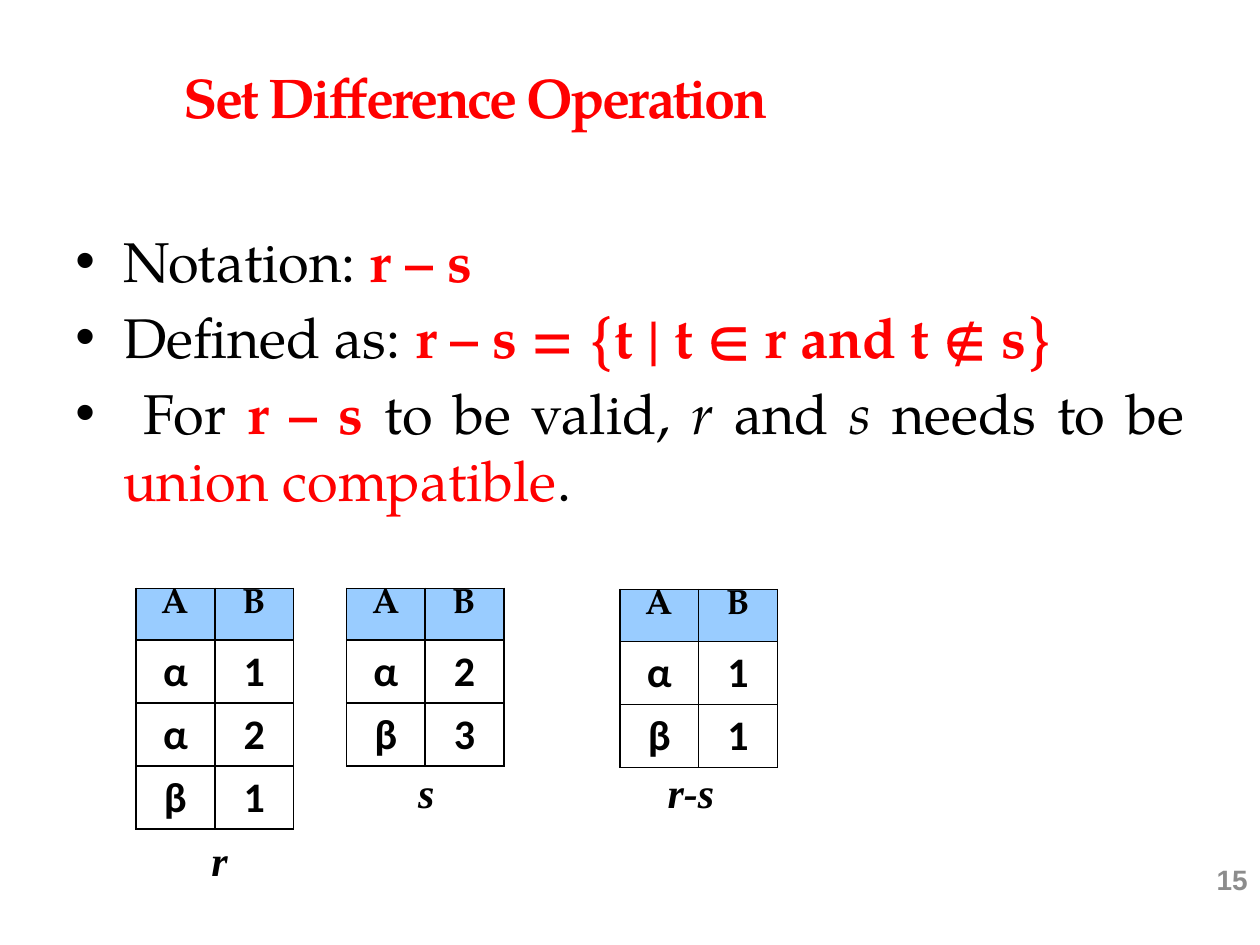
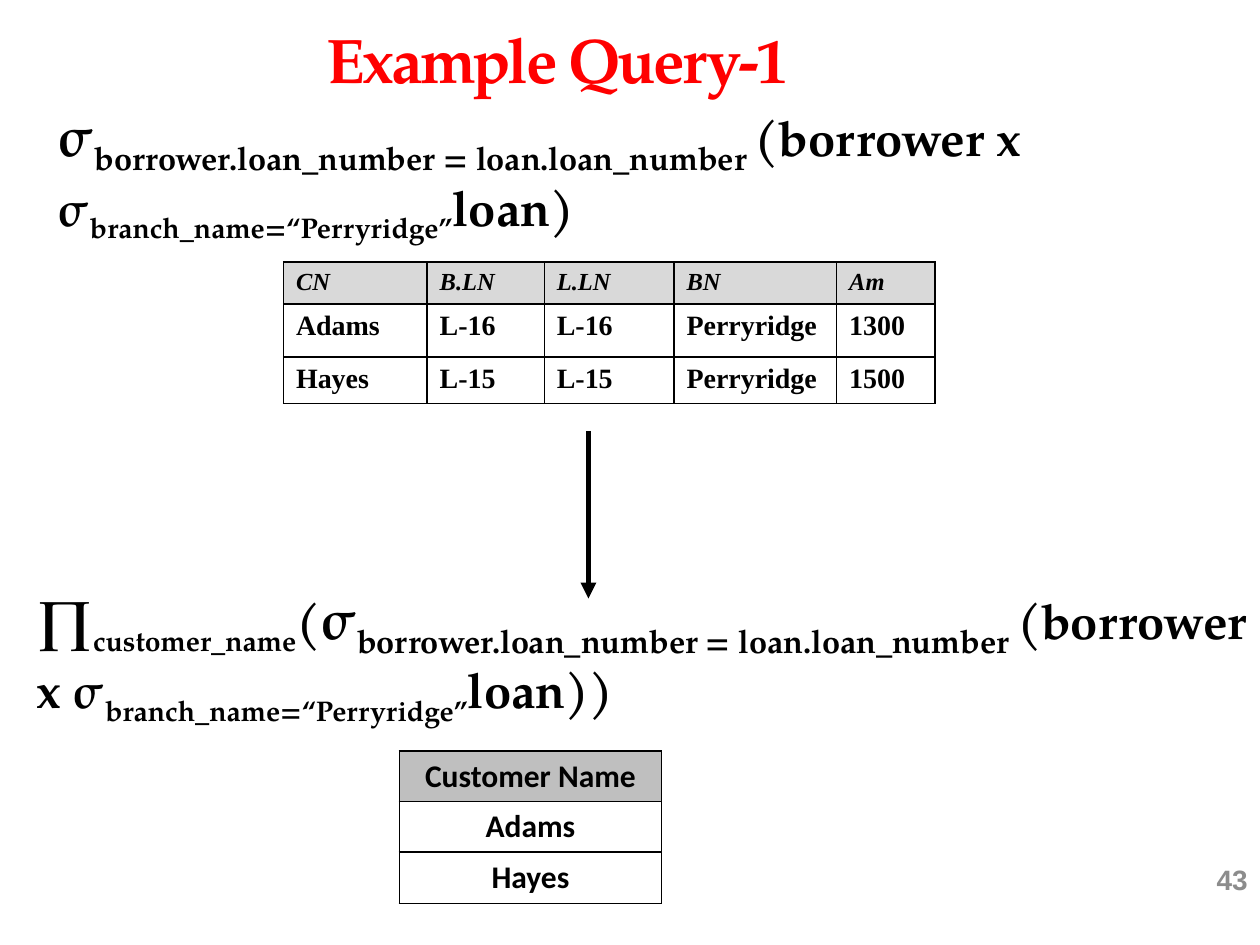
from lxml import etree
from pptx import Presentation, util as u
from pptx.dml.color import RGBColor
from pptx.enum import shapes, text
from pptx.oxml import ns

HUES = dict(red="FF0000", ink="000000", paper="FFFFFF", page="8C8C8C",
            blue="99CCFF", pale="D9D9D9", grey="BFBFBF")
SERIF, TIMES, SANS, PLAIN = "TeX Gyre Pagella", "Times New Roman", "Calibri", "Arial"
ALIGN = dict(l=text.PP_ALIGN.LEFT, c=text.PP_ALIGN.CENTER,
             r=text.PP_ALIGN.RIGHT, j=text.PP_ALIGN.JUSTIFY)

# A run is a plain string, or a (string, format) pair.
RED = dict(hue="red", bold=True)
ITAL = dict(ital=True)
SUB = dict(base=-25)
BIG = dict(size=32)
BIGSUB = BIG | SUB

POINTS = [
    ["Notation: ", ("r – s ", RED)],
    ["Defined as:", (" r – s = {t | t ∈ r and t ∉ s}", RED)],
    [" For ", ("r – s ", RED), "to be valid, ", ("r", ITAL), " and ", ("s", ITAL),
     " needs to be ", ("union compatible", dict(hue="red")), "."],
]

# name, table left and top, caption left and top, rows
SETS = [
    ("r", (1.08, 4.67), (1.58, 6.62), ["AB", "α1", "α2", "β1"]),
    ("s", (2.75, 4.67), (3.22, 6.08), ["AB", "α2", "β3"]),
    ("r-s", (4.92, 4.68), (5.2, 6.08), ["AB", "α1", "β1"]),
]

SELECT = [
    ("σ", BIG), ("borrower.loan_number = loan.loan_number ", BIGSUB),
    "(borrower x σ", ("branch_name=“Perryridge”", SUB),
]
QUERY = SELECT + ["loan)"]
RESULT = ["∏", ("customer_name", SUB), "("] + SELECT + ["loan))"]

LOANS = [
    ["CN", "B.LN", "L.LN", "BN", "Am"],
    ["Adams", "L-16", "L-16", "Perryridge", "1300"],
    ["Hayes", "L-15", "L-15", "Perryridge", "1500"],
]
NAMES = [["Customer Name"], ["Adams"], ["Hayes"]]


def rgb(hue):
    return RGBColor.from_string(HUES[hue])


def node(parent, tag, **attrs):
    return etree.SubElement(parent, ns.qn("a:" + tag), attrs)


def style(run, size=24, font=SERIF, hue="ink", bold=False, ital=False, base=0, track=0):
    face = run.font
    face.size, face.name, face.bold, face.italic = u.Pt(size), font, bold, ital
    face.color.rgb = rgb(hue)
    props = run.font._element
    if base:
        props.set("baseline", str(base * 1000))
    if track:
        props.set("spc", str(int(track * 100)))


def write(frame, paras, align="l", lead=None, bullet=False, **fmt):
    """Fill a text frame with paragraphs, each a list of runs."""
    for i, runs in enumerate(paras):
        para = frame.paragraphs[0] if i == 0 else frame.add_paragraph()
        para.alignment = ALIGN[align]
        if lead:
            para.line_spacing = lead
        for item in runs:
            words, extra = (item, {}) if isinstance(item, str) else item
            run = para.add_run()
            run.text = words
            style(run, **(fmt | extra))
        if bullet:
            para.space_before = u.Pt(5)
            props = para._p.get_or_add_pPr()
            props.set("marL", str(u.Inches(0.38)))
            props.set("indent", str(-u.Inches(0.38)))
            node(props, "buFont", typeface=PLAIN)
            node(props, "buChar", char="•")


def label(slide, spot, paras, mid=False, **fmt):
    box = slide.shapes.add_textbox(*map(u.Inches, spot))
    frame = box.text_frame
    frame.word_wrap = True
    if mid:
        frame.vertical_anchor = text.MSO_ANCHOR.MIDDLE
    write(frame, paras, **fmt)


def edge(cell):
    """Draw a thin black line on all four sides of a cell."""
    props = cell._tc.get_or_add_tcPr()
    for i, side in enumerate(("lnL", "lnR", "lnT", "lnB")):
        line = node(props, side, w=str(u.Pt(1)))
        node(node(line, "solidFill"), "srgbClr", val=HUES["ink"])
        props.insert(i, line)


def grid(slide, spot, cols, rows, data, tint, head, body, tight=False):
    """Add a table; head and body are the formats of its rows."""
    frame = slide.shapes.add_table(
        len(rows), len(cols), *map(u.Inches, (*spot, sum(cols), sum(rows))))
    table = frame.table
    table.horz_banding = False
    for col, wide in zip(table.columns, cols):
        col.width = u.Inches(wide)
    for r, (row, high) in enumerate(zip(data, rows)):
        table.rows[r].height = u.Inches(high)
        for c, words in enumerate(row):
            cell = table.cell(r, c)
            cell.fill.solid()
            cell.fill.fore_color.rgb = rgb("paper" if r else tint)
            if tight and r == 0:
                cell.margin_top = cell.margin_bottom = 0
            edge(cell)
            write(cell.text_frame, [[words]], bold=True, **(body if r else head))


def arrow(slide, start, end):
    line = slide.shapes.add_connector(
        shapes.MSO_CONNECTOR.STRAIGHT, *map(u.Inches, (*start, *end)))
    line.line.color.rgb = rgb("ink")
    line.line.width = u.Pt(3)
    props = line._element.spPr
    node(props.find(ns.qn("a:ln")), "tailEnd", type="triangle")
    node(props, "effectLst")


def start(deck, title, left, top, size, page):
    """Add a slide with its red title and page number."""
    slide = deck.slides.add_slide(deck.slide_layouts[5])
    head = slide.shapes.title
    head.left, head.top, head.width, head.height = map(u.Inches, (left, top, 6.69, 0.93))
    head.text_frame.vertical_anchor = text.MSO_ANCHOR.MIDDLE
    write(head.text_frame, [[title]], align="c", size=size, track=-1.5, **RED)
    label(slide, (9.33, 6.82, 0.67, 0.32), [[page]], mid=True, align="r",
          size=16, font=PLAIN, hue="page", bold=True)
    return slide


def minus(deck):
    slide = start(deck, "Set Difference Operation", 0.43, 0.3, 32, "15")
    label(slide, (0.5, 1.75, 9, 4.95), POINTS, align="j", bullet=True, size=32)
    for name, spot, under, data in SETS:
        grid(slide, spot, [1.25 / 2] * 2, [0.41] * len(data), data, "blue",
             dict(align="c", size=20), dict(align="c", size=24, font=SANS), tight=True)
        label(slide, (*under, 1.17 if len(name) > 1 else 0.42, 0.34), [[name]],
              lead=0.9, font=TIMES, bold=True, ital=True)


def query(deck):
    slide = start(deck, "Example Query-1", 1.08, 0, 36, "43")
    grid(slide, (2.25, 2.08), [1.14, 0.93, 1.03, 1.29, 0.78], [0.29, 0.42, 0.26],
         LOANS, "pale", dict(size=14, font=TIMES, ital=True), dict(size=16, font=TIMES))
    label(slide, (0.36, 0.75, 9.64, 1.11), [QUERY], size=28, bold=True)
    arrow(slide, (4.67, 3.42), (4.67, 4.75))
    plain = dict(align="c", size=18, font=SANS)
    grid(slide, (3.17, 5.96), [2.08], [0.16, 0.35, 0.41], NAMES, "grey", plain, plain)
    label(slide, (0.19, 4.58, 10, 1.11), [RESULT], size=28, bold=True)


def main():
    deck = Presentation()
    deck.slide_width, deck.slide_height = u.Inches(10), u.Inches(7.5)
    minus(deck)
    query(deck)
    deck.save("out.pptx")


if __name__ == "__main__":
    main()
